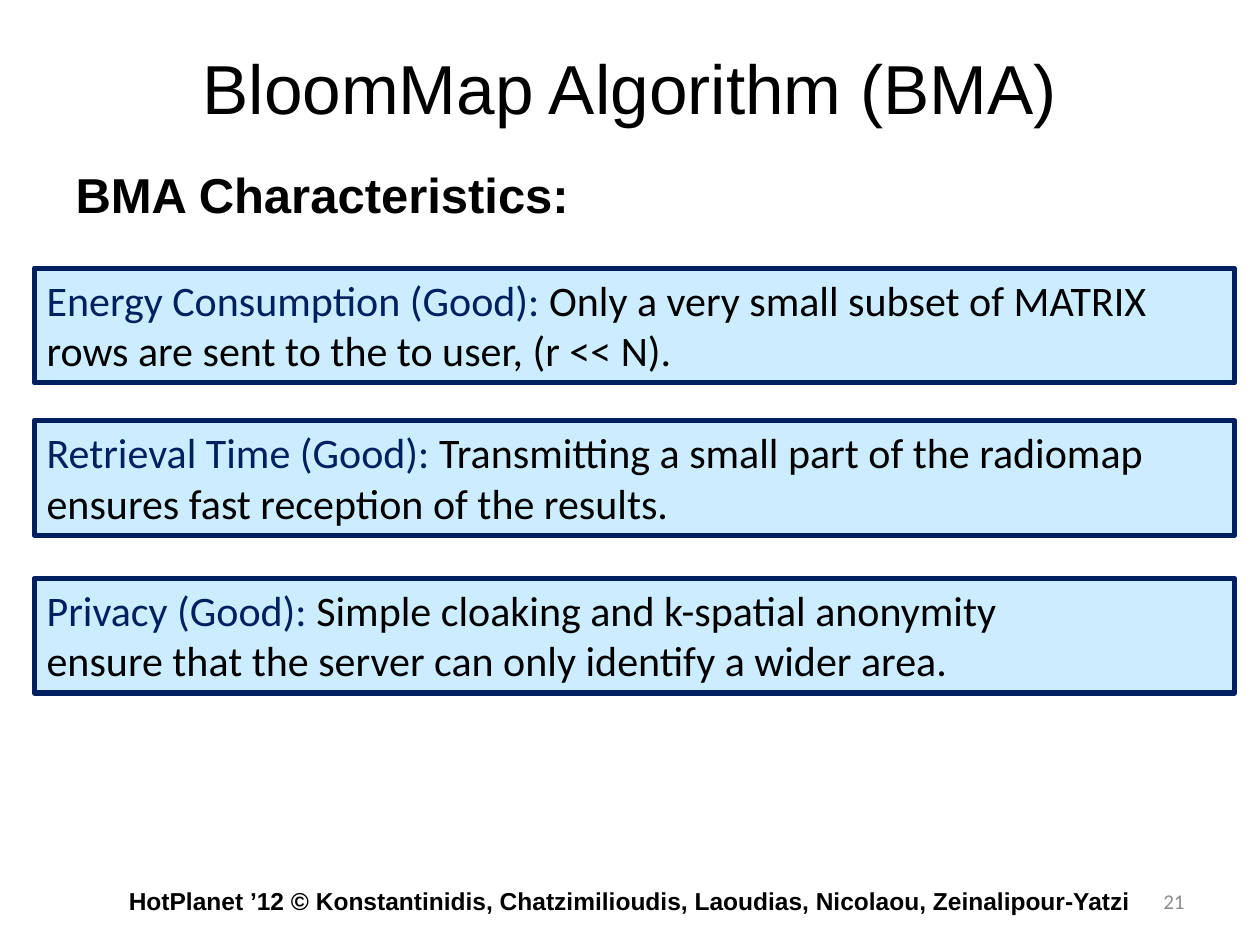
from dataclasses import dataclass

from lxml import etree
from pptx import Presentation
from pptx.dml.color import RGBColor
from pptx.enum.shapes import MSO_SHAPE
from pptx.enum.text import MSO_ANCHOR, PP_ALIGN
from pptx.oxml.ns import qn
from pptx.util import Cm, Pt

RECTANGLE = MSO_SHAPE.RECTANGLE
TOP, MIDDLE = MSO_ANCHOR.TOP, MSO_ANCHOR.MIDDLE
LEFT, CENTER, RIGHT = PP_ALIGN.LEFT, PP_ALIGN.CENTER, PP_ALIGN.RIGHT


@dataclass(frozen=True)
class Theme:
    heading_font: str = "Arial"
    text_font: str = "Calibri"
    black: RGBColor = RGBColor(0x00, 0x00, 0x00)
    navy: RGBColor = RGBColor(0x00, 0x20, 0x60)
    sky: RGBColor = RGBColor(0xCC, 0xEC, 0xFF)
    gray: RGBColor = RGBColor(0x8C, 0x8C, 0x8C)
    title_size: float = 39.6
    subtitle_size: float = 28
    card_size: float = 24
    footer_size: float = 14
    number_size: float = 12


theme = Theme()


def write(shape, text, *, size, font=theme.heading_font, color=theme.black,
          bold=False, align=LEFT, anchor=MIDDLE, label="", label_color=theme.navy):
    frame = shape.text_frame
    frame.word_wrap = True
    frame.vertical_anchor = anchor
    for index, line in enumerate(text.split("\n")):
        paragraph = frame.add_paragraph() if index else frame.paragraphs[0]
        paragraph.alignment = align
        paragraph.space_before = Pt(0)
        pieces = [(line, color)]
        if label and index == 0:
            pieces.insert(0, (label, label_color))
        for piece, piece_color in pieces:
            run = paragraph.add_run()
            run.text = piece
            run.font.name = font
            run.font.size = Pt(size)
            run.font.bold = bold
            run.font.color.rgb = piece_color


def place(shape, left, top, width, height):
    shape.left, shape.top = Cm(left), Cm(top)
    shape.width, shape.height = Cm(width), Cm(height)


deck = Presentation()
deck.slide_width, deck.slide_height = Cm(25.4), Cm(19.05)
slide = deck.slides.add_slide(deck.slide_layouts[1])

title = slide.shapes.title
place(title, 1.27, 0.76, 22.86, 1.98)
write(title, "BloomMap Algorithm (BMA)", size=theme.title_size, align=CENTER)

characteristics = slide.placeholders[1]
place(characteristics, 1.27, 3.18, 22.86, 13.84)
write(characteristics, "BMA Characteristics:", size=theme.subtitle_size,
      bold=True, anchor=TOP)
list_format = characteristics.text_frame.paragraphs[0]._p.get_or_add_pPr()
list_format.set("marL", "0")
list_format.set("indent", "0")
etree.SubElement(list_format, qn("a:buNone"))

credit = slide.shapes.add_textbox(Cm(1.27), Cm(17.65), Cm(22.86), Cm(1.02))
write(credit,
      "HotPlanet ’12 © Konstantinidis, Chatzimilioudis, Laoudias, Nicolaou, Zeinalipour-Yatzi",
      size=theme.footer_size, bold=True, align=CENTER)

page_number = slide.shapes.add_textbox(Cm(22.86), Cm(17.65), Cm(1.27), Cm(1.02))
write(page_number, "21", size=theme.number_size, font=theme.text_font,
      color=theme.gray, align=RIGHT)

properties = [
    (5.41, "Energy Consumption (Good): ",
     "Only a very small subset of MATRIX rows are sent to the to user, (r << N)."),
    (8.48, "Retrieval Time (Good): ",
     "Transmitting a small part of the radiomap ensures fast reception of the results."),
    (11.66, "Privacy (Good): ",
     "Simple cloaking and k-spatial anonymity\n"
     "ensure that the server can only identify a wider area."),
]
for top, label, description in properties:
    card = slide.shapes.add_shape(RECTANGLE, Cm(0.69), Cm(top), Cm(24.2), Cm(2.31))
    card.shadow.inherit = False
    card.fill.solid()
    card.fill.fore_color.rgb = theme.sky
    card.line.color.rgb = theme.navy
    card.line.width = Pt(3)
    write(card, description, size=theme.card_size, font=theme.text_font,
          anchor=TOP, label=label)

deck.save("out.pptx")
